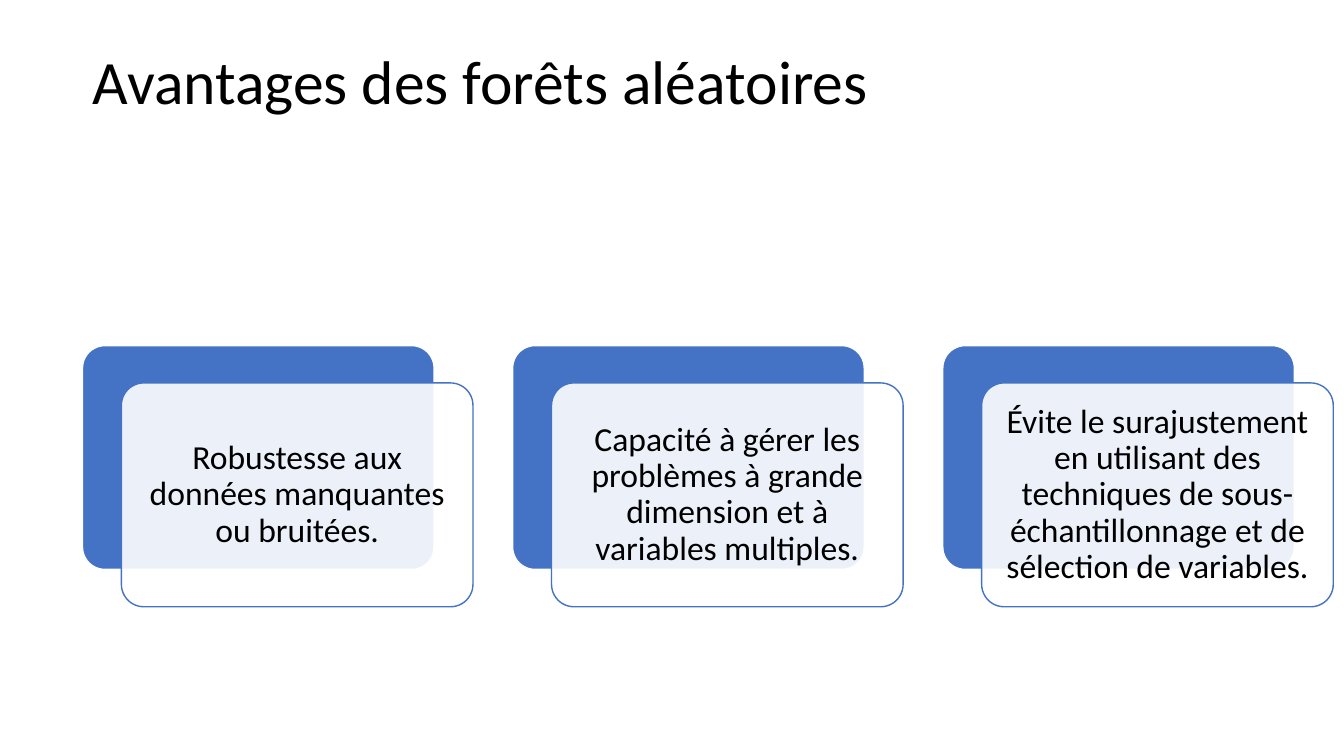
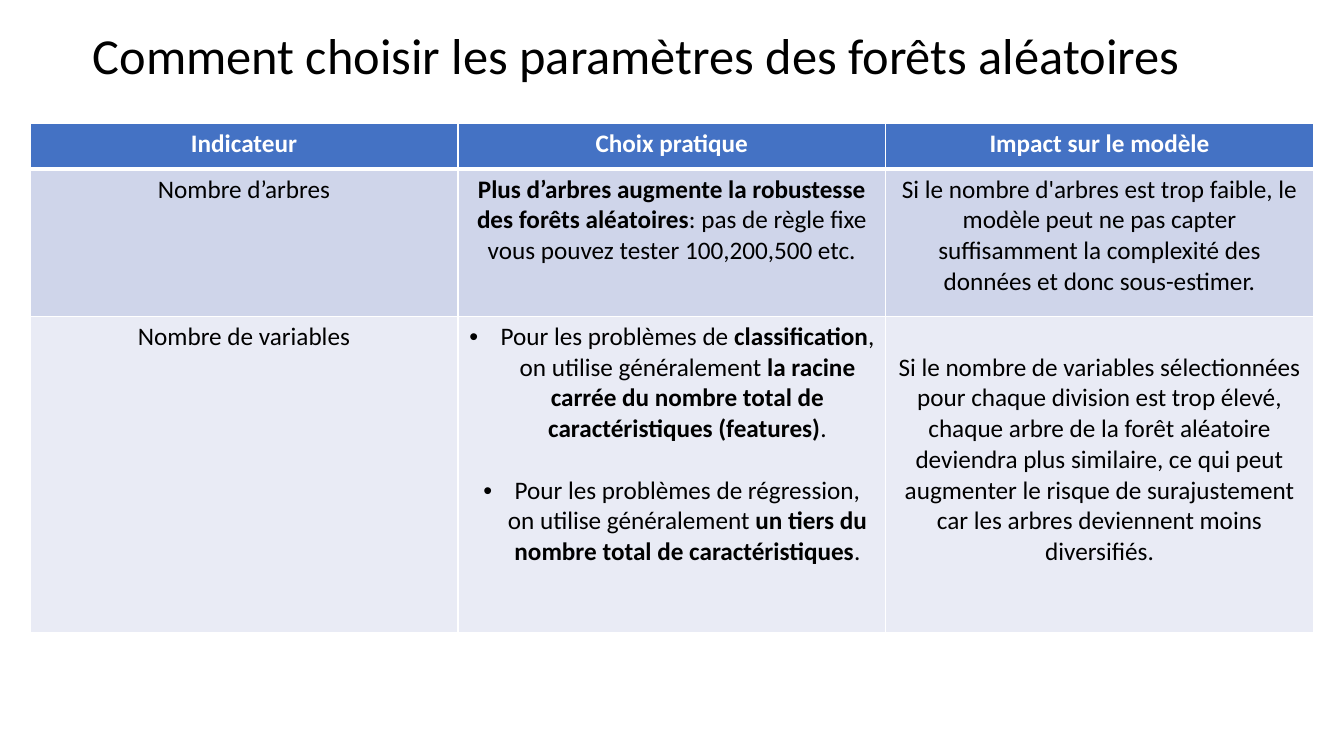
"""Build two slides on the strengths and the settings of random forests."""
import pptx
import pptx.dml.color
import pptx.enum.shapes
import pptx.enum.text
import pptx.oxml
import pptx.oxml.ns
import pptx.util

Cm = pptx.util.Cm
Pt = pptx.util.Pt
ALIGN = pptx.enum.text.PP_ALIGN
ANCHOR = pptx.enum.text.MSO_ANCHOR

COLORS = {
    "blue": "4472C4",
    "white": "FFFFFF",
    "black": "000000",
    "band": "CFD5EA",
    "light": "E9EBF5",
}
FONT = "Calibri"

ADVANTAGES_TITLE = "Avantages des forêts aléatoires"
ADVANTAGES = [
    "Robustesse aux données manquantes ou bruitées.",
    "Capacité à gérer les problèmes à grande dimension et à variables multiples.",
    "Évite le surajustement en utilisant des techniques de sous-échantillonnage "
    "et de sélection de variables.",
]

SETTINGS_TITLE = "Comment choisir les paramètres des forêts aléatoires"
HEADERS = ["Indicateur", "Choix pratique", "Impact sur le modèle"]
TREE_CHOICE = [
    ("Plus d’arbres augmente la robustesse des forêts aléatoires", True),
    (": pas de règle fixe vous pouvez tester 100,200,500 etc.", False),
]
CLASSIFICATION_CHOICE = [
    ("Pour les problèmes de ", False),
    ("classification", True),
    (", on utilise généralement ", False),
    ("la racine carrée du nombre total de caractéristiques (features)", True),
    (".", False),
]
REGRESSION_CHOICE = [
    ("Pour les problèmes de régression, on utilise généralement ", False),
    ("un tiers du nombre total de caractéristiques", True),
    (".", False),
]
TREE_IMPACT = (
    "Si le nombre d'arbres est trop faible, le modèle peut ne pas capter "
    "suffisamment la complexité des données et donc sous-estimer."
)
VARIABLE_IMPACT = (
    "Si le nombre de variables sélectionnées pour chaque division est trop élevé, "
    "chaque arbre de la forêt aléatoire deviendra plus similaire, ce qui peut "
    "augmenter le risque de surajustement car les arbres deviennent moins diversifiés."
)
ROWS = [
    {"height": 1.14, "fill": "blue", "text": "white",
     "cells": [[[(header, True)]] for header in HEADERS]},
    {"height": 3.71, "fill": "band", "text": "black",
     "cells": [[[("Nombre d’arbres", False)]], [TREE_CHOICE], [[(TREE_IMPACT, False)]]]},
    {"height": 7.98, "fill": "light", "text": "black",
     "cells": [[[("Nombre de variables", False)]],
               [CLASSIFICATION_CHOICE, REGRESSION_CHOICE],
               [[(VARIABLE_IMPACT, False)]]]},
]

TITLE_LEFT, TITLE_WIDTH, TITLE_HEIGHT = 2.08, 29.21, 3.68
CARD_LEFT, CARD_TOP, CARD_WIDTH, CARD_HEIGHT = 2.08, 8.71, 8.86, 5.64
CARD_PITCH, FRONT_SHIFT_X, FRONT_SHIFT_Y = 10.84, 0.98, 0.94
TABLE_LEFT, TABLE_TOP, COLUMN_WIDTH = 0.76, 3.12, 10.78
BULLET_INDENT = 0.79
LINE_GAP = Pt(22)


def rgb(name):
    return pptx.dml.color.RGBColor.from_string(COLORS[name])


def add_run(paragraph, text, size, color, bold=False):
    run = paragraph.add_run()
    run.text = text
    run.font.name = FONT
    run.font.size = Pt(size)
    run.font.bold = bold
    run.font.color.rgb = rgb(color)


def add_titled_slide(presentation, text, top, size):
    slide = presentation.slides.add_slide(presentation.slide_layouts[5])
    title = slide.shapes.title
    title.left, title.top = Cm(TITLE_LEFT), Cm(top)
    title.width, title.height = Cm(TITLE_WIDTH), Cm(TITLE_HEIGHT)
    frame = title.text_frame
    frame.auto_size = pptx.enum.text.MSO_AUTO_SIZE.NONE
    frame.vertical_anchor = ANCHOR.MIDDLE
    paragraph = frame.paragraphs[0]
    paragraph.alignment = ALIGN.LEFT
    paragraph.line_spacing = 0.9
    add_run(paragraph, text, size, "black")
    return slide


def add_panel(slide, left, top, fill, line):
    panel = slide.shapes.add_shape(
        pptx.enum.shapes.MSO_SHAPE.ROUNDED_RECTANGLE,
        Cm(left), Cm(top), Cm(CARD_WIDTH), Cm(CARD_HEIGHT))
    panel.adjustments[0] = 0.1
    panel.shadow.inherit = False
    panel.fill.solid()
    panel.fill.fore_color.rgb = rgb(fill)
    panel.line.color.rgb = rgb(line)
    panel.line.width = Pt(1)
    return panel


def set_opacity(shape, percent):
    color = shape.fill._xPr.find(".//" + pptx.oxml.ns.qn("a:srgbClr"))
    color.append(pptx.oxml.parse_xml(
        f'<a:alpha {pptx.oxml.ns.nsdecls("a")} val="{percent * 1000}"/>'))


def add_card(slide, left, text):
    add_panel(slide, left, CARD_TOP, "blue", "white")
    front = add_panel(slide, left + FRONT_SHIFT_X, CARD_TOP + FRONT_SHIFT_Y, "white", "blue")
    set_opacity(front, 90)
    frame = front.text_frame
    frame.word_wrap = True
    frame.vertical_anchor = ANCHOR.MIDDLE
    frame.margin_left = frame.margin_right = Cm(0.25)
    frame.margin_top = frame.margin_bottom = Cm(0.25)
    paragraph = frame.paragraphs[0]
    paragraph.alignment = ALIGN.CENTER
    paragraph.line_spacing = 0.9
    add_run(paragraph, text, 24, "black")


def set_borders(cell, widths):
    properties = cell._tc.get_or_add_tcPr()
    for side, width in widths.items():
        properties.append(pptx.oxml.parse_xml(
            f'<a:ln{side} {pptx.oxml.ns.nsdecls("a")} w="{Pt(width)}"><a:solidFill>'
            f'<a:srgbClr val="{COLORS["white"]}"/></a:solidFill></a:ln{side}>'))


def set_bullet(paragraph):
    properties = paragraph._p.get_or_add_pPr()
    properties.set("marL", str(Cm(BULLET_INDENT)))
    properties.set("indent", str(-Cm(BULLET_INDENT)))
    for element in ('buFont {} typeface="Arial"', 'buChar {} char="•"'):
        properties.append(pptx.oxml.parse_xml(
            "<a:" + element.format(pptx.oxml.ns.nsdecls("a")) + "/>"))


def fill_cell(cell, paragraphs, text_color):
    frame = cell.text_frame
    for index, runs in enumerate(paragraphs):
        paragraph = frame.add_paragraph() if index else frame.paragraphs[0]
        paragraph.alignment = ALIGN.CENTER
        if index:
            paragraph.space_before = LINE_GAP
        if len(paragraphs) > 1:
            set_bullet(paragraph)
        for text, bold in runs:
            add_run(paragraph, text, 18, text_color, bold)


def add_settings_table(slide):
    height = sum(row["height"] for row in ROWS)
    table = slide.shapes.add_table(
        len(ROWS), len(HEADERS), Cm(TABLE_LEFT), Cm(TABLE_TOP),
        Cm(COLUMN_WIDTH * len(HEADERS)), Cm(height)).table
    for column in table.columns:
        column.width = Cm(COLUMN_WIDTH)
    for row_index, row in enumerate(ROWS):
        table.rows[row_index].height = Cm(row["height"])
        borders = {"L": 1, "R": 1, "T": 3 if row_index == 1 else 1,
                   "B": 3 if row_index == 0 else 1}
        for column_index, paragraphs in enumerate(row["cells"]):
            cell = table.cell(row_index, column_index)
            set_borders(cell, borders)
            cell.fill.solid()
            cell.fill.fore_color.rgb = rgb(row["fill"])
            fill_cell(cell, paragraphs, row["text"])
    impact_cell = table.cell(len(ROWS) - 1, len(HEADERS) - 1)
    impact_cell.margin_top = Cm(0.13) + LINE_GAP


def main():
    presentation = pptx.Presentation()
    presentation.slide_width, presentation.slide_height = Cm(33.87), Cm(19.05)

    slide = add_titled_slide(presentation, ADVANTAGES_TITLE, 0.28, 44)
    for index, text in enumerate(ADVANTAGES):
        add_card(slide, CARD_LEFT + index * CARD_PITCH, text)

    slide = add_titled_slide(presentation, SETTINGS_TITLE, -0.38, 36)
    add_settings_table(slide)

    presentation.save("out.pptx")


if __name__ == "__main__":
    main()
